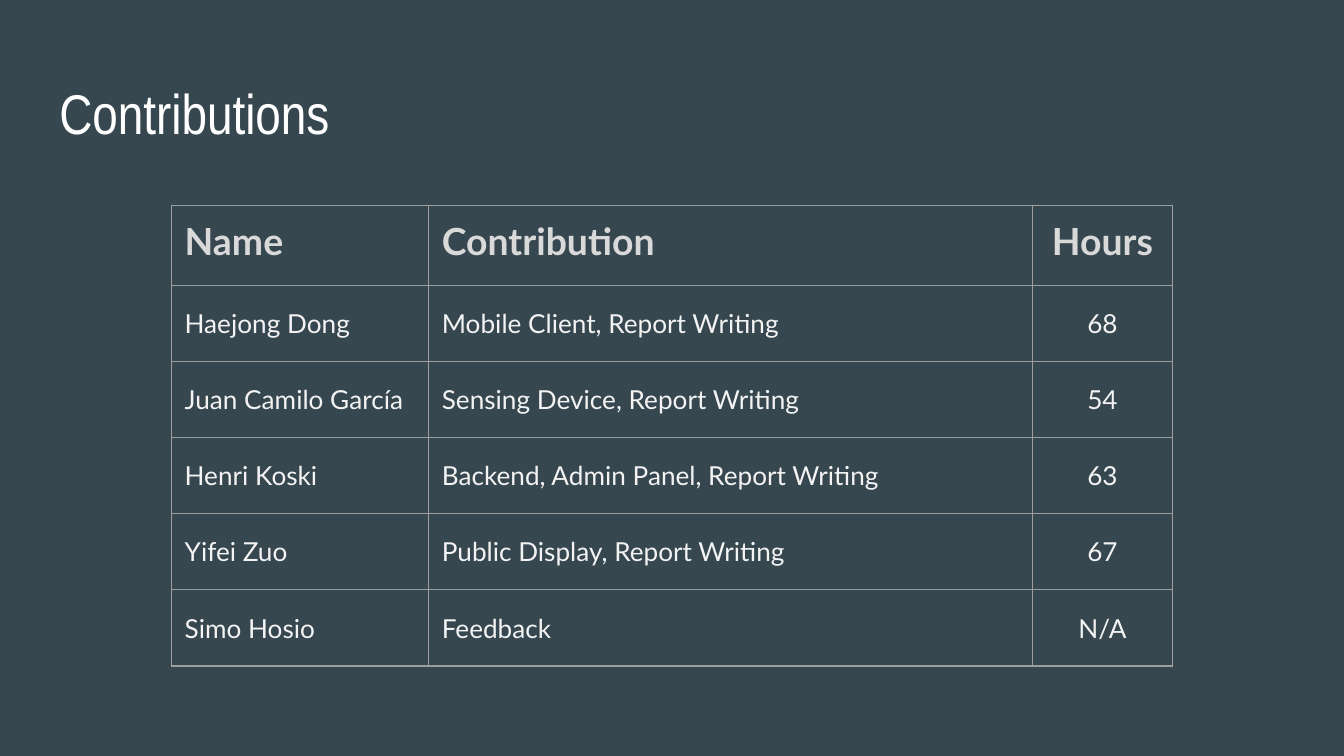
from lxml import etree
from pptx import Presentation
from pptx.dml.color import RGBColor
from pptx.enum.text import MSO_ANCHOR, MSO_AUTO_SIZE, PP_ALIGN
from pptx.oxml.ns import qn
from pptx.util import Cm, Pt

TOP, MIDDLE = MSO_ANCHOR.TOP, MSO_ANCHOR.MIDDLE
LEFT, CENTER = PP_ALIGN.LEFT, PP_ALIGN.CENTER
FIXED = MSO_AUTO_SIZE.NONE

TITLE = "Contributions"
ROWS = [
    ("Name", "Contribution", "Hours"),
    ("Haejong Dong", "Mobile Client, Report Writing", "68"),
    ("Juan Camilo García", "Sensing Device, Report Writing", "54"),
    ("Henri Koski", "Backend, Admin Panel, Report Writing", "63"),
    ("Yifei Zuo", "Public Display, Report Writing", "67"),
    ("Simo Hosio", "Feedback", "N/A"),
]
WIDTHS = [Cm(4.86), Cm(11.41), Cm(2.65)]
ALIGNS = [LEFT, LEFT, CENTER]
HEIGHTS = [Cm(1.51)] + [Cm(1.44)] * (len(ROWS) - 1)
PAD = Cm(0.25)
COLORS = {
    "back": "37474F",
    "title": "FFFFFF",
    "head": "D9D9D9",
    "body": "F3F3F3",
    "line": "9E9E9E",
}


def color(name):
    return RGBColor.from_string(COLORS[name])


def style(para, face, size, tint, bold=False):
    for run in para.runs:
        font = run.font
        font.name, font.size, font.bold = face, Pt(size), bold
        font.color.rgb = color(tint)


def pad(box):
    box.margin_left = box.margin_right = PAD
    box.margin_top = box.margin_bottom = PAD


def border(cell):
    props = cell._tc.get_or_add_tcPr()
    for side in ("lnL", "lnR", "lnT", "lnB"):
        line = etree.SubElement(props, qn(f"a:{side}"), w=str(Pt(0.75)))
        fill = etree.SubElement(line, qn("a:solidFill"))
        etree.SubElement(fill, qn("a:srgbClr"), val=COLORS["line"])


def add_title(slide):
    title = slide.shapes.title
    title.left, title.top = Cm(0.87), Cm(1.24)
    title.width, title.height = Cm(23.67), Cm(1.6)
    frame = title.text_frame
    frame.text = TITLE
    frame.auto_size = FIXED
    frame.vertical_anchor = TOP
    pad(frame)
    para = frame.paragraphs[0]
    para.alignment = LEFT
    style(para, "Arial Narrow", 30, "title")


def add_grid(slide):
    frame = slide.shapes.add_table(
        len(ROWS), len(WIDTHS), Cm(3.24), Cm(3.88), sum(WIDTHS), sum(HEIGHTS)
    )
    table = frame.table
    table.first_row = table.horz_banding = False
    for col, width in zip(table.columns, WIDTHS):
        col.width = width
    for row, height, texts in zip(table.rows, HEIGHTS, ROWS):
        row.height = height
        head = texts is ROWS[0]
        for cell, text, align in zip(row.cells, texts, ALIGNS):
            cell.text_frame.text = text
            cell.vertical_anchor = TOP if head else MIDDLE
            pad(cell)
            border(cell)
            cell.fill.background()
            para = cell.text_frame.paragraphs[0]
            para.alignment = align
            if head:
                style(para, "Lato", 20, "head", True)
            else:
                style(para, "Lato", 14, "body")


def main():
    deck = Presentation()
    deck.slide_width, deck.slide_height = Cm(25.4), Cm(14.29)
    slide = deck.slides.add_slide(deck.slide_layouts[5])
    back = slide.background.fill
    back.solid()
    back.fore_color.rgb = color("back")
    add_title(slide)
    add_grid(slide)
    deck.save("out.pptx")


if __name__ == "__main__":
    main()
